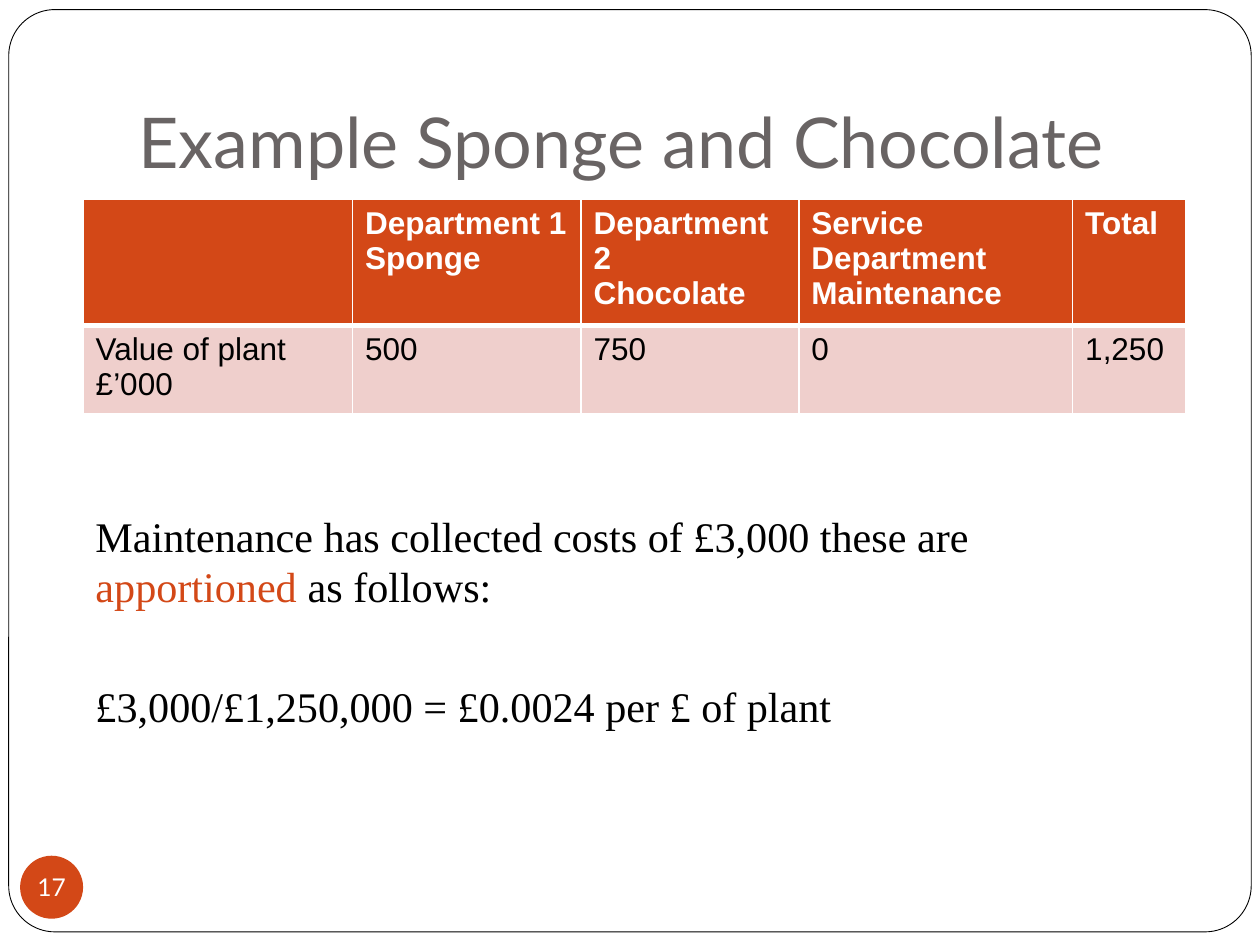
import pptx
import pptx.dml.color
import pptx.enum.shapes
import pptx.enum.text
import pptx.oxml
import pptx.oxml.ns
import pptx.util

Pt = pptx.util.Pt
SHAPE = pptx.enum.shapes.MSO_SHAPE
ANCHOR = pptx.enum.text.MSO_ANCHOR
ALIGN = pptx.enum.text.PP_ALIGN

ORANGE, PINK, WHITE, BLACK, GREY = "D34817", "EFCFCC", "FFFFFF", "000000", "696464"


def color(value):
    return pptx.dml.color.RGBColor.from_string(value)


def apply(target, values):
    for name, value in values.items():
        setattr(target, name, value)


def margins(left, top, right, bottom):
    return dict(margin_left=Pt(left), margin_top=Pt(top),
                margin_right=Pt(right), margin_bottom=Pt(bottom))


def place(shape, left, top, width, height):
    apply(shape, dict(left=Pt(left), top=Pt(top), width=Pt(width), height=Pt(height)))


def add_border(cell, side, width):
    """Draw one white edge of a table cell; side is L, R, T or B."""
    cell._tc.get_or_add_tcPr().append(pptx.oxml.parse_xml(
        f'<a:ln{side} {pptx.oxml.ns.nsdecls("a")} w="{Pt(width)}">'
        f'<a:solidFill><a:srgbClr val="{WHITE}"/></a:solidFill></a:ln{side}>'))


class SlideBuilder:
    title_font = dict(name="Lato", size=Pt(40), bold=False)
    number_font = dict(name="Lato", size=Pt(14))
    body_font = dict(name="Times New Roman", size=Pt(24.1))
    table_font = dict(name="Arial", size=Pt(18))

    def __init__(self, slide):
        self.slide = slide

    def add_run(self, paragraph, text, font, text_color):
        run = paragraph.add_run()
        run.text = text
        apply(run.font, font)
        run.font.color.rgb = color(text_color)

    def shape(self, kind, box, fill, line=None):
        shape = self.slide.shapes.add_shape(kind, *map(Pt, box))
        shape.shadow.inherit = False
        shape.fill.solid()
        shape.fill.fore_color.rgb = color(fill)
        if line:
            shape.line.color.rgb = color(line)
            shape.line.width = Pt(0.5)
        else:
            shape.line.fill.background()
        return shape

    def frame(self, box):
        frame = self.shape(SHAPE.ROUNDED_RECTANGLE, box, WHITE, BLACK)
        frame.adjustments[0] = 0.05
        # Behind the title, after the two property elements of the shape tree
        frame.element.getparent().insert(2, frame.element)

    def title(self, text, box):
        title = self.slide.shapes.title
        place(title, *box)
        apply(title.text_frame, dict(vertical_anchor=ANCHOR.BOTTOM, word_wrap=True,
                                     **margins(7.2, 3.6, 7.2, 7.2)))
        paragraph = title.text_frame.paragraphs[0]
        paragraph.alignment = ALIGN.LEFT
        self.add_run(paragraph, text, self.title_font, GREY)

    def page_number(self, text, box):
        frame = self.shape(SHAPE.OVAL, box, ORANGE).text_frame
        apply(frame, dict(vertical_anchor=ANCHOR.MIDDLE, word_wrap=False,
                          **margins(0, 0, 0, 0)))
        frame.paragraphs[0].alignment = ALIGN.CENTER
        self.add_run(frame.paragraphs[0], text, self.number_font, WHITE)

    def body(self, paragraphs, box, top_inset, gap):
        frame = self.slide.shapes.add_textbox(*map(Pt, box)).text_frame
        apply(frame, dict(word_wrap=True, **margins(7.2, top_inset, 7.2, 3.6)))
        for index, runs in enumerate(paragraphs):
            paragraph = frame.add_paragraph() if index else frame.paragraphs[0]
            paragraph.line_spacing = Pt(28.5)
            if index:
                paragraph.space_before = Pt(gap)
            for text, text_color in runs:
                self.add_run(paragraph, text, self.body_font, text_color)

    def table(self, rows, left, top, widths, heights):
        table = self.slide.shapes.add_table(
            len(rows), len(widths), Pt(left), Pt(top),
            Pt(sum(widths)), Pt(sum(heights))).table
        for column, width in zip(table.columns, widths):
            column.width = Pt(width)
        for row, height in zip(table.rows, heights):
            row.height = Pt(height)
        for row_index, row in enumerate(rows):
            for column_index, text in enumerate(row):
                self.cell(table.cell(row_index, column_index), text, row_index == 0)

    def cell(self, cell, text, header):
        edges = dict(L=1, R=1, T=1, B=3) if header else dict(L=1, R=1, T=3, B=1)
        for side, width in edges.items():
            add_border(cell, side, width)
        cell.fill.solid()
        cell.fill.fore_color.rgb = color(ORANGE if header else PINK)
        for index, line in enumerate(text.split("\n")):
            frame = cell.text_frame
            paragraph = frame.add_paragraph() if index else frame.paragraphs[0]
            if line:
                self.add_run(paragraph, line, dict(self.table_font, bold=header),
                             WHITE if header else BLACK)


def main():
    presentation = pptx.Presentation()
    apply(presentation, dict(slide_width=Pt(720), slide_height=Pt(540)))
    builder = SlideBuilder(presentation.slides.add_slide(presentation.slide_layouts[5]))

    builder.frame((5, 5.5, 710, 527))
    builder.title("Example Sponge and Chocolate", (72, 21.6, 612, 90))
    builder.page_number("17", (11.5, 489, 36, 36))
    builder.body(
        [
            [("Maintenance has collected costs of £3,000 these are ", BLACK),
             ("apportioned", ORANGE), (" as follows:", BLACK)],
            [("£3,000/£1,250,000 = £0.0024 per £ of plant", BLACK)],
        ],
        (47.5, 114, 612, 360), top_inset=178, gap=40)
    builder.table(
        [
            ["", "Department 1\nSponge", "Department 2\nChocolate",
             "Service Department\nMaintenance", "Total"],
            ["Value of plant £’000", "500", "750", "0", "1,250"],
        ],
        47.5, 114, widths=[154, 130.5, 124.5, 156.5, 64.5], heights=[60, 40])

    presentation.save("out.pptx")


if __name__ == "__main__":
    main()
